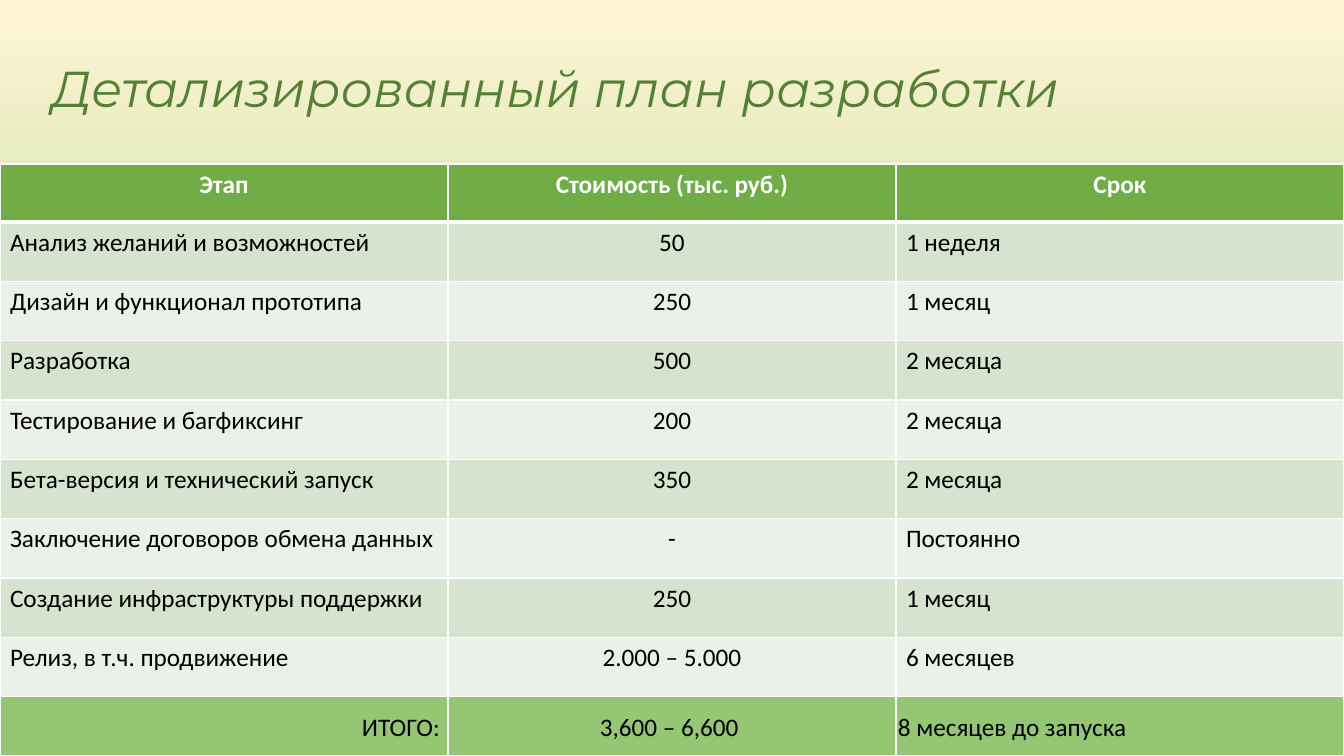
from lxml import etree
from pptx import Presentation
from pptx.dml.color import RGBColor
from pptx.enum.text import MSO_ANCHOR, PP_ALIGN
from pptx.oxml.ns import qn
from pptx.util import Emu, Pt

LEFT, CENTER = PP_ALIGN.LEFT, PP_ALIGN.CENTER
TOP, MIDDLE = MSO_ANCHOR.TOP, MSO_ANCHOR.MIDDLE
SCALE = 12192000 / 1344

WHITE, BLACK = "FFFFFF", "000000"
HEADER_FILL, TOTAL_FILL = "70AD47", "95C674"
BANDS = ("D5E3CF", "EBF1E9")
BACKGROUND = ((0, "FFF5D5"), (74, "A9D18E"), (83, "B8D79A"), (100, "95C674"))

HEADER = ("Этап", "Стоимость (тыс. руб.)", "Срок")
STAGES = (
    ("Анализ желаний и возможностей", "50", "1 неделя"),
    ("Дизайн и функционал прототипа", "250", "1 месяц"),
    ("Разработка", "500", "2 месяца"),
    ("Тестирование и багфиксинг", "200", "2 месяца"),
    ("Бета-версия и технический запуск", "350", "2 месяца"),
    ("Заключение договоров обмена данных", "-", "Постоянно"),
    ("Создание инфраструктуры поддержки", "250", "1 месяц"),
    ("Релиз, в т.ч. продвижение", "2.000 – 5.000", "6 месяцев"),
)
TOTAL = ("ИТОГО:", "3,600 – 6,600", "8 месяцев до запуска")
TOTAL_STOPS = (352, 590, 888)


def px(n):
    return Emu(round(n * SCALE))


def rgb(color):
    return RGBColor.from_string(color)


def write(tf, text, size=18, font="Calibri", color=BLACK, bold=False,
          italic=False, align=LEFT, spacing=None):
    p = tf.paragraphs[0]
    p.alignment = align
    p.line_spacing = spacing
    r = p.add_run()
    r.text = text
    r.font.size = Pt(size)
    r.font.name = font
    r.font.bold = bold
    r.font.italic = italic
    r.font.color.rgb = rgb(color)
    return p


def add_text(s, x, y, w, h, text, anchor=TOP, **fmt):
    tf = s.shapes.add_textbox(px(x), px(y), px(w), px(h)).text_frame
    tf.word_wrap = True
    tf.vertical_anchor = anchor
    return write(tf, text, **fmt)


def set_tab_stops(p, stops):
    tabs = etree.SubElement(p._p.get_or_add_pPr(), qn("a:tabLst"))
    for stop in stops:
        etree.SubElement(tabs, qn("a:tab"), pos=str(px(stop)), algn="l")


def set_background(s, stops):
    fill = s.background.fill
    fill.gradient()
    fill.gradient_angle = 270
    gs_list = s._element.find(".//" + qn("a:gsLst"))
    for gs in list(gs_list):
        gs_list.remove(gs)
    for pos, color in stops:
        gs = etree.SubElement(gs_list, qn("a:gs"), pos=str(pos * 1000))
        etree.SubElement(gs, qn("a:srgbClr"), val=color)


def set_borders(cell, top=1, bottom=1):
    tc_pr = cell._tc.get_or_add_tcPr()
    widths = (("a:lnL", 1), ("a:lnR", 1), ("a:lnT", top), ("a:lnB", bottom))
    for i, (tag, width) in enumerate(widths):
        ln = etree.Element(qn(tag), w=str(Pt(width)))
        fill = etree.SubElement(ln, qn("a:solidFill"))
        etree.SubElement(fill, qn("a:srgbClr"), val=WHITE)
        tc_pr.insert(i, ln)


def add_plan_table(s, x, y, w, header_h, body_h):
    rows = (HEADER, *STAGES, ("", "", ""))
    last = len(rows) - 1
    table = s.shapes.add_table(len(rows), len(HEADER), px(x), px(y), px(w),
                               px(header_h + body_h)).table
    for i, row in enumerate(rows):
        table.rows[i].height = px(body_h // last) if i else px(header_h)
        if i:
            table.rows[i].height = Emu(px(body_h) // last)
        fill = HEADER_FILL if i == 0 else TOTAL_FILL if i == last else BANDS[(i - 1) % 2]
        for j, text in enumerate(row):
            cell = table.cell(i, j)
            cell.fill.solid()
            cell.fill.fore_color.rgb = rgb(fill)
            set_borders(cell, top=3 if i == 1 else 1, bottom=3 if i == 0 else 1)
            if text:
                write(cell.text_frame, text, bold=i == 0,
                      color=BLACK if i else WHITE,
                      align=CENTER if i == 0 or j == 1 else LEFT)


def main():
    prs = Presentation()
    prs.slide_width, prs.slide_height = px(1344), px(756)
    s = prs.slides.add_slide(prs.slide_layouts[6])
    set_background(s, BACKGROUND)
    add_text(s, 42, 18, 1159, 146, "Детализированный план разработки",
             anchor=MIDDLE, size=36, font="Montserrat", color="548235",
             italic=True, spacing=0.9)
    add_plan_table(s, 0, 164, 1344, 58, 534)
    total = add_text(s, 0, 706, 1165, 40, "\t" + "\t".join(TOTAL))
    set_tab_stops(total, TOTAL_STOPS)
    prs.save("out.pptx")


if __name__ == "__main__":
    main()
